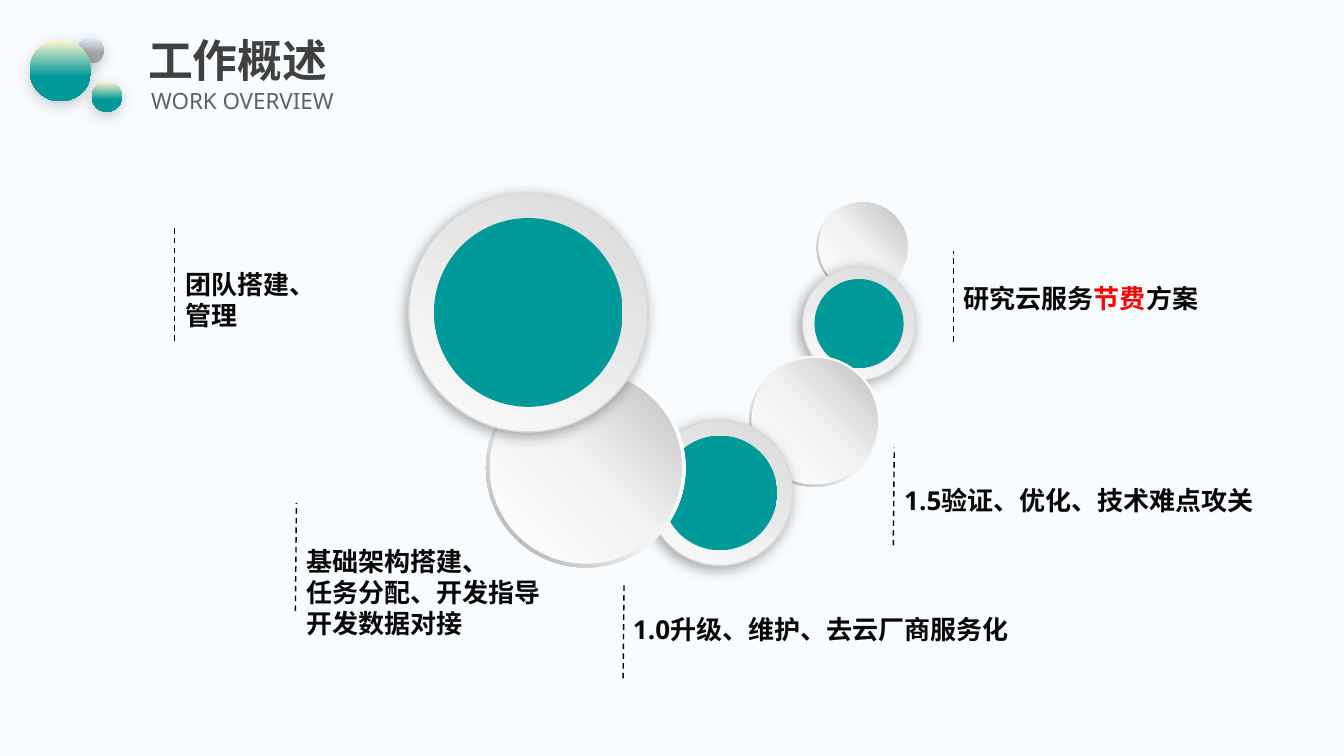
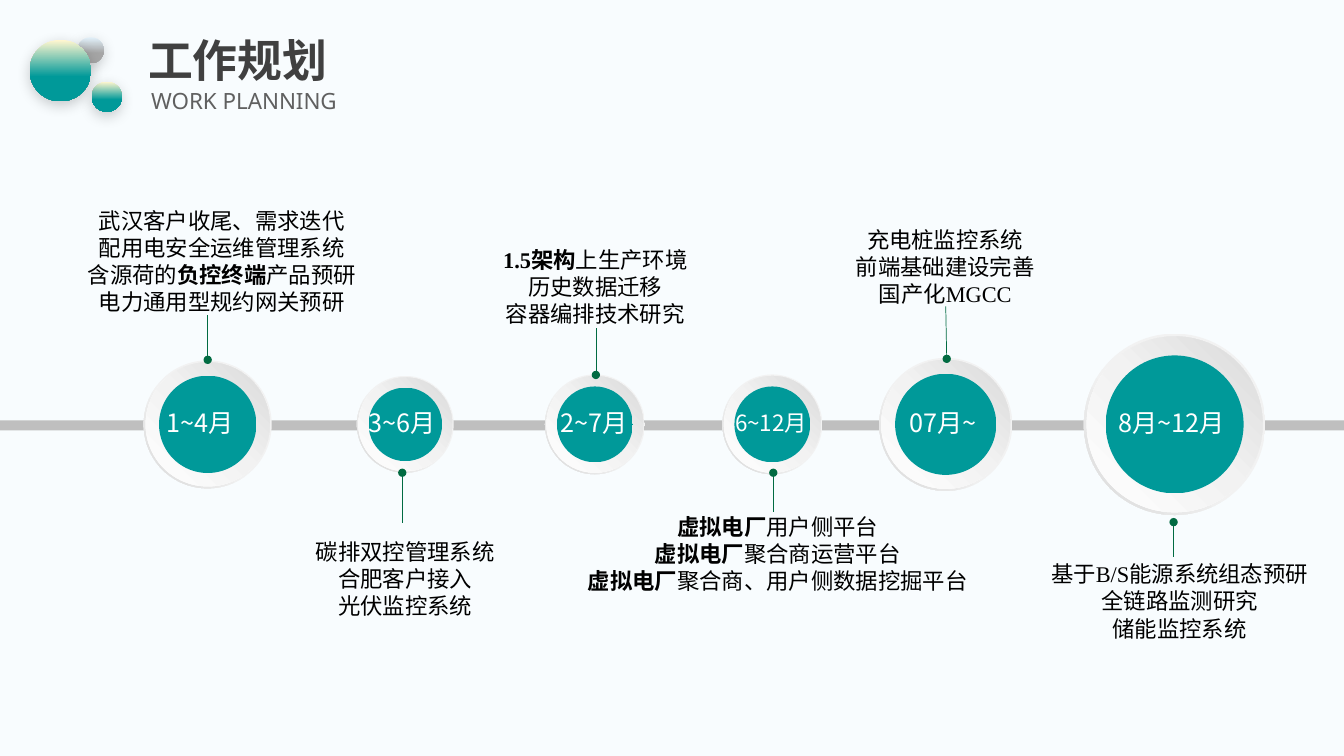
"""Build two slides, a work overview and a work plan, and save them as out.pptx."""
from lxml.etree import SubElement
from pptx import Presentation
from pptx.dml.color import RGBColor
from pptx.enum.dml import MSO_LINE
from pptx.enum.shapes import MSO_CONNECTOR, MSO_SHAPE
from pptx.enum.text import MSO_ANCHOR, PP_ALIGN
from pptx.oxml.ns import qn
from pptx.util import Pt

PX = 9144
OVAL, DONUT, RECT = MSO_SHAPE.OVAL, MSO_SHAPE.DONUT, MSO_SHAPE.RECTANGLE
STRAIGHT, DASH = MSO_CONNECTOR.STRAIGHT, MSO_LINE.DASH
LEFT, CENTER = PP_ALIGN.LEFT, PP_ALIGN.CENTER
TOP, MIDDLE = MSO_ANCHOR.TOP, MSO_ANCHOR.MIDDLE

COLORS = {
    "bg": "F8FCFE", "teal": "009999", "cream": "FFF6CF", "ice": "E1F0F9",
    "title": "404040", "subtitle": "606060", "ink": "080808", "black": "000000",
    "red": "FF0000", "white": "FFFFFF", "green": "016B42", "snow": "FCFCFC",
    "mist": "F2F2F2", "silver": "D9D9D9", "bar": "BFBFBF", "gray": "A5A5A5",
}
LOOKS = {
    "teal": {"stops": [(0, "teal"), (100, "teal")], "angle": 0},
    "teal ball": {"stops": [(1, "cream"), (60, "teal"), (100, "teal")], "angle": 90,
                  "shadow": (20, 90)},
    "gray ball": {"stops": [(1, "ice"), (60, "gray"), (100, "gray")], "angle": 90,
                  "shadow": (20, 90)},
    "ring": {"stops": [(0, "silver"), (100, "snow")], "angle": 120,
             "line": "silver", "shadow": (34, 136)},
    "rim": {"stops": [(0, "white"), (55, "mist"), (100, "gray")], "angle": 135},
    "dome": {"stops": [(0, "white"), (51, "mist"), (100, "bar")], "angle": 315},
    "pale rim": {"stops": [(0, "mist"), (55, "mist"), (100, "silver")], "angle": 135},
    "pale dome": {"stops": [(0, "white"), (51, "mist"), (100, "silver")], "angle": 315},
}
DISCS = {
    "teal ball": [(OVAL, 1, "teal ball")],
    "gray ball": [(OVAL, 1, "gray ball")],
    "ring": [(OVAL, 1, "ring"), (OVAL, 0.79, "teal")],
    "dome": [(DONUT, 1, "rim"), (OVAL, 0.96, "dome")],
    "month": [(DONUT, 1, "pale rim"), (OVAL, 0.97, "pale dome"), (OVAL, 0.76, "teal")],
}
TITLE = {"name": "Noto Sans", "size": Pt(32), "bold": True, "color": "title"}
SUBTITLE = {"name": "Noto Sans", "size": Pt(16), "color": "subtitle"}
CAPTION = {"name": "Noto Sans", "size": Pt(18.6), "bold": True, "color": "ink"}
MONTH = {"name": "Noto Sans CJK SC", "color": "white"}
TASK = {"name": "Times New Roman", "size": Pt(16), "bold": False, "color": "black"}


def disc(s, kind, cx, cy, d):
    """Stack the concentric layers of one disc."""
    for geom, ratio, look_name in DISCS[kind]:
        look = LOOKS[look_name]
        size = round(d * ratio * PX)
        sp = s.shapes.add_shape(geom, cx * PX - size // 2, cy * PX - size // 2, size, size)
        if geom == DONUT:
            sp.adjustments[0] = 0.05
        sp.fill.gradient()
        sp.fill.gradient_angle = 360 - look["angle"]
        stops = sp._element.spPr.find(qn("a:gradFill")).find(qn("a:gsLst"))
        for old in list(stops):
            stops.remove(old)
        for pos, color in look["stops"]:
            gs = SubElement(stops, qn("a:gs"), pos=str(pos * 1000))
            SubElement(gs, qn("a:srgbClr"), val=COLORS[color])
        if "line" in look:
            sp.line.color.rgb = RGBColor.from_string(COLORS[look["line"]])
            sp.line.width = Pt(1)
        else:
            sp.line.fill.background()
        sp.shadow.inherit = False
        if "shadow" in look:
            alpha, angle = look["shadow"]
            effects = sp._element.spPr.find(qn("a:effectLst"))
            shadow = SubElement(effects, qn("a:outerShdw"), blurRad=str(Pt(10)),
                                dist=str(Pt(3)), dir=str(angle * 60000), rotWithShape="0")
            color = SubElement(shadow, qn("a:srgbClr"), val=COLORS["black"])
            SubElement(color, qn("a:alpha"), val=str(alpha * 1000))


def text(s, box, lines, fmt, strong=None, align=LEFT, anchor=TOP, inset=(10, 5), spacing=None):
    """Add a text box; parts between bars in a line take the strong format."""
    tf = s.shapes.add_textbox(*(v * PX for v in box)).text_frame
    tf.word_wrap = True
    tf.vertical_anchor = anchor
    tf.margin_left = tf.margin_right = inset[0] * PX
    tf.margin_top = tf.margin_bottom = inset[1] * PX
    for i, line in enumerate(lines):
        p = tf.paragraphs[0] if i == 0 else tf.add_paragraph()
        p.alignment = align
        p.line_spacing = spacing
        for j, part in enumerate(line.split("|")):
            if not part:
                continue
            r = p.add_run()
            r.text = part
            values = {**fmt, **(strong or {})} if j % 2 else dict(fmt)
            r.font.color.rgb = RGBColor.from_string(COLORS[values.pop("color")])
            for key, value in values.items():
                setattr(r.font, key, value)
            SubElement(r.font._element, qn("a:ea"), typeface="Noto Sans CJK SC")


prs = Presentation()
prs.slide_width, prs.slide_height = 1333 * PX, 750 * PX
bg = prs.slide_master.background.fill
bg.solid()
bg.fore_color.rgb = RGBColor.from_string(COLORS["bg"])

slides = []
for title, subtitle in [("工作概述", "WORK OVERVIEW"), ("工作规划", "WORK PLANNING")]:
    s = prs.slides.add_slide(prs.slide_layouts[6])
    slides.append(s)
    for ball in [("gray ball", 90, 50, 26), ("teal ball", 106, 96, 30), ("teal ball", 60, 70, 61)]:
        disc(s, *ball)
    text(s, (137, 33, 1150, 59), [title], TITLE, anchor=MIDDLE, spacing=0.9)
    text(s, (140, 84, 917, 34), [subtitle], SUBTITLE, anchor=MIDDLE, spacing=0.9)
overview, planning = slides

for chain_disc in [
    ("dome", 856, 245, 92), ("ring", 852, 321, 112), ("dome", 808, 418, 130),
    ("ring", 714, 489, 144), ("dome", 581, 464, 198), ("ring", 524, 310, 237),
]:
    disc(overview, *chain_disc)

for box, lines in [
    ((174, 261, 160, 73), ["团队搭建、", "管理"]),
    ((294, 536, 265, 104), ["基础架构搭建、", "任务分配、开发指导", "开发数据对接"]),
    ((618, 604, 420, 41), ["1.0升级、维护、去云厂商服务化"]),
    ((887, 476, 400, 41), ["1.5验证、优化、技术难点攻关"]),
    ((946, 275, 270, 41), ["研究云服务|节费|方案"]),
]:
    text(overview, box, lines, CAPTION, {"color": "red"}, spacing=Pt(22.3))

bar = planning.shapes.add_shape(RECT, 0, 417 * PX, 1333 * PX, 10 * PX)
bar.fill.solid()
bar.fill.fore_color.rgb = RGBColor.from_string(COLORS["bar"])
bar.line.fill.background()
bar.shadow.inherit = False

for cx, d, label, left, width, size in [
    (206, 127, "1~4月", 145, 123, 18), (402, 96, "3~6月", 346, 123, 18),
    (590, 99, "2~7月", 536, 120, 18), (766, 99, "6~12月", 709, 125, 16),
    (938, 132, "07月~", 882, 130, 18), (1165, 180, "8月~12月", 1089, 169, 18),
]:
    disc(planning, "month", cx, 421, d)
    text(planning, (left, 394, width, 51), [label], {**MONTH, "size": Pt(size)},
         anchor=MIDDLE, inset=(20, 10))

for box, lines in [
    ((63, 205, 314, 108), ["武汉客户收尾、需求迭代", "配用电安全运维管理系统",
                           "含源荷的|负控终端|产品预研", "电力通用型规约网关预研"]),
    ((269, 534, 266, 81), ["碳排双控管理系统", "合肥客户接入", "光伏监控系统"]),
    ((431, 244, 319, 81), ["|1.5架构|上生产环境", "历史数据迁移", "容器编排技术研究"]),
    ((566, 509, 411, 81), ["|虚拟电厂|用户侧平台", "|虚拟电厂|聚合商运营平台",
                           "|虚拟电厂|聚合商、用户侧数据挖掘平台"]),
    ((835, 224, 205, 81), ["充电桩监控系统", "前端基础建设完善", "国产化MGCC"]),
    ((1026, 556, 288, 108), ["基于B/S能源系统组态预研", "全链路监测研究", "储能监控系统"]),
]:
    text(planning, box, lines, TASK, {"bold": True}, CENTER, inset=(13, 0), spacing=Pt(19.3))

dashes = [(173, 338, 173, 224), (293, 606, 294, 499), (618, 673, 619, 577),
          (886, 541, 887, 444), (946, 339, 946, 249)]
stems = [(206, 357, 206, 313), (399, 469, 399, 519), (591, 372, 591, 325),
         (767, 469, 767, 508), (939, 356, 938, 304), (1164, 518, 1164, 553)]
for s, ends, color, width, dash, head in [
    (overview, dashes, "black", 1, DASH, "none"),
    (planning, stems, "green", 0.5, None, "oval"),
]:
    for points in ends:
        line = s.shapes.add_connector(STRAIGHT, *(v * PX for v in points))
        line.line.color.rgb = RGBColor.from_string(COLORS[color])
        line.line.width = Pt(width)
        line.line.dash_style = dash
        SubElement(line.line._ln, qn("a:headEnd"), type=head)
        SubElement(line._element.spPr, qn("a:effectLst"))

prs.save("out.pptx")
